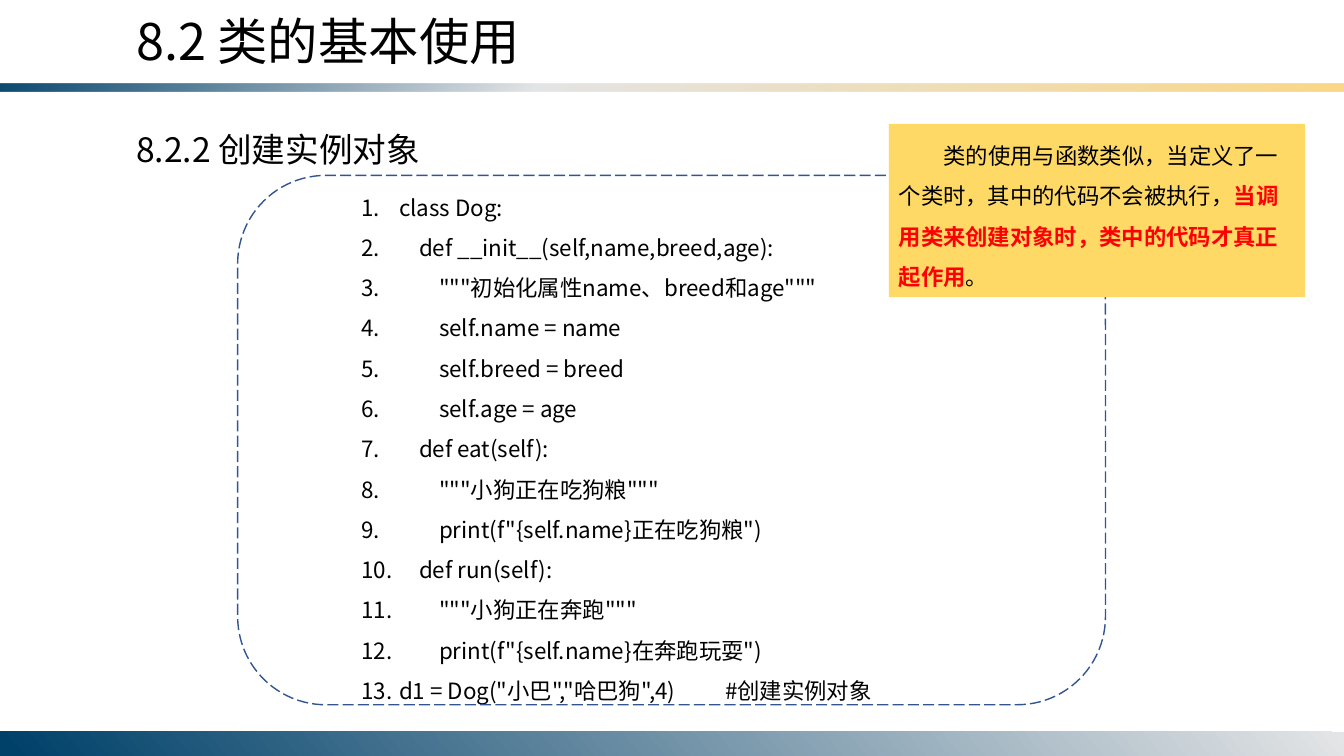
"""Build the slide on creating instance objects from a class."""
from lxml import etree
from pptx import Presentation
from pptx.dml.color import RGBColor
from pptx.enum import dml, shapes, text
from pptx.oxml import ns
from pptx.util import Cm, Pt

FONT = "Noto Sans CJK SC"
BLACK, RED, YELLOW, BLUE = "000000", "FF0000", "FFD966", "325491"
WIDTH, HEIGHT = 33.87, 19.05
LEFT = 3.18
CODE_TOP = 4.42
CODE_INDENT = 0.95

TITLE = "8.2 类的基本使用"
SUBTITLE = "8.2.2 创建实例对象"
CODE = [
    'class Dog:',
    '    def __init__(self,name,breed,age):',
    '        """初始化属性name、breed和age"""',
    '        self.name = name',
    '        self.breed = breed',
    '        self.age = age',
    '    def eat(self):',
    '        """小狗正在吃狗粮"""',
    '        print(f"{self.name}正在吃狗粮")',
    '    def run(self):',
    '        """小狗正在奔跑"""',
    '        print(f"{self.name}在奔跑玩耍")',
    'd1 = Dog("小巴","哈巴狗",4)          #创建实例对象',
]
NOTE = [
    ("类的使用与函数类似，当定义了一个类时，其中的代码不会被执行，", BLACK, False),
    ("当调用类来创建对象时，类中的代码才真正起作用", RED, True),
    ("。", BLACK, False),
]
BANDS = [
    (2.11, 0.2, 50, [(0, "00416A", 95), (40, "E4E5E6", 100), (100, "FBD786", 100)]),
    (18.44, 0.61, 140, [(0, "E4E5E6", 100), (99, "00416A", 100)]),
]


def color(value):
    return RGBColor.from_string(value)


def child(parent, tag, **attributes):
    return etree.SubElement(parent, ns.qn(tag), attributes)


def add_span(para, words, size, ink=BLACK, bold=False):
    span = para.add_run()
    span.text = words
    span.font.size = Pt(size)
    span.font.bold = bold
    span.font.color.rgb = color(ink)
    span.font.name = FONT
    child(span._r.get_or_add_rPr(), "a:ea", typeface=FONT)


def set_frame(box):
    frame = box.text_frame
    frame.word_wrap = True
    frame.auto_size = text.MSO_AUTO_SIZE.SHAPE_TO_FIT_TEXT
    frame.vertical_anchor = text.MSO_ANCHOR.TOP
    return frame


def add_shape(page, kind, left, top, width, height):
    shape = page.shapes.add_shape(kind, Cm(left), Cm(top), Cm(width), Cm(height))
    shape.shadow.inherit = False
    shape.line.fill.background()
    return shape


def add_text(page, left, top, width, height):
    return set_frame(page.shapes.add_textbox(Cm(left), Cm(top), Cm(width), Cm(height)))


def add_band(page, top, height, angle, stops):
    band = add_shape(page, shapes.MSO_SHAPE.RECTANGLE, 0, top, WIDTH, height)
    band.fill.gradient()
    band.fill.gradient_angle = 360 - angle
    stop_list = band._element.spPr.find(".//" + ns.qn("a:gsLst"))
    for old in list(stop_list):
        stop_list.remove(old)
    for position, value, opacity in stops:
        stop = child(stop_list, "a:gs", pos=str(position * 1000))
        tint = child(stop, "a:srgbClr", val=value)
        child(tint, "a:alpha", val=str(opacity * 1000))


def add_code(page):
    frame = add_text(page, 8.86, CODE_TOP, 15.37, 13.59)
    for number, line in enumerate(CODE):
        para = frame.paragraphs[0] if number == 0 else frame.add_paragraph()
        para.line_spacing = 1.5
        properties = para._p.get_or_add_pPr()
        properties.set("marL", str(Cm(CODE_INDENT)))
        properties.set("indent", str(-Cm(CODE_INDENT)))
        child(properties, "a:buFont", typeface="+mj-lt")
        child(properties, "a:buAutoNum", type="arabicPeriod")
        add_span(para, line, 16)


def add_note(page):
    box = add_shape(page, shapes.MSO_SHAPE.RECTANGLE, 22.4, 3.12, 10.49, 4.37)
    box.fill.solid()
    box.fill.fore_color.rgb = color(YELLOW)
    para = set_frame(box).paragraphs[0]
    para.alignment = text.PP_ALIGN.LEFT
    para.line_spacing = 1.5
    para._p.get_or_add_pPr().set("indent", str(Cm(1.13)))
    for words, ink, bold in NOTE:
        add_span(para, words, 16, ink, bold)


def main():
    deck = Presentation()
    deck.slide_width, deck.slide_height = Cm(WIDTH), Cm(HEIGHT)
    page = deck.slides.add_slide(deck.slide_layouts[5])

    title = page.shapes.title
    title.left, title.top, title.width, title.height = Cm(LEFT), Cm(0.13), Cm(15.54), Cm(1.8)
    heading = set_frame(title).paragraphs[0]
    heading.alignment = text.PP_ALIGN.LEFT
    add_span(heading, TITLE, 36)

    for band in BANDS:
        add_band(page, *band)
    add_span(add_text(page, LEFT, 3.12, 8.92, 1.27).paragraphs[0], SUBTITLE, 24)
    add_code(page)

    outline = add_shape(page, shapes.MSO_SHAPE.ROUNDED_RECTANGLE, 5.99, CODE_TOP, 21.87, 13.34)
    outline.fill.background()
    outline.line.color.rgb = color(BLUE)
    outline.line.width = Pt(1)
    outline.line.dash_style = dml.MSO_LINE.LONG_DASH
    add_note(page)
    deck.save("out.pptx")


if __name__ == "__main__":
    main()
